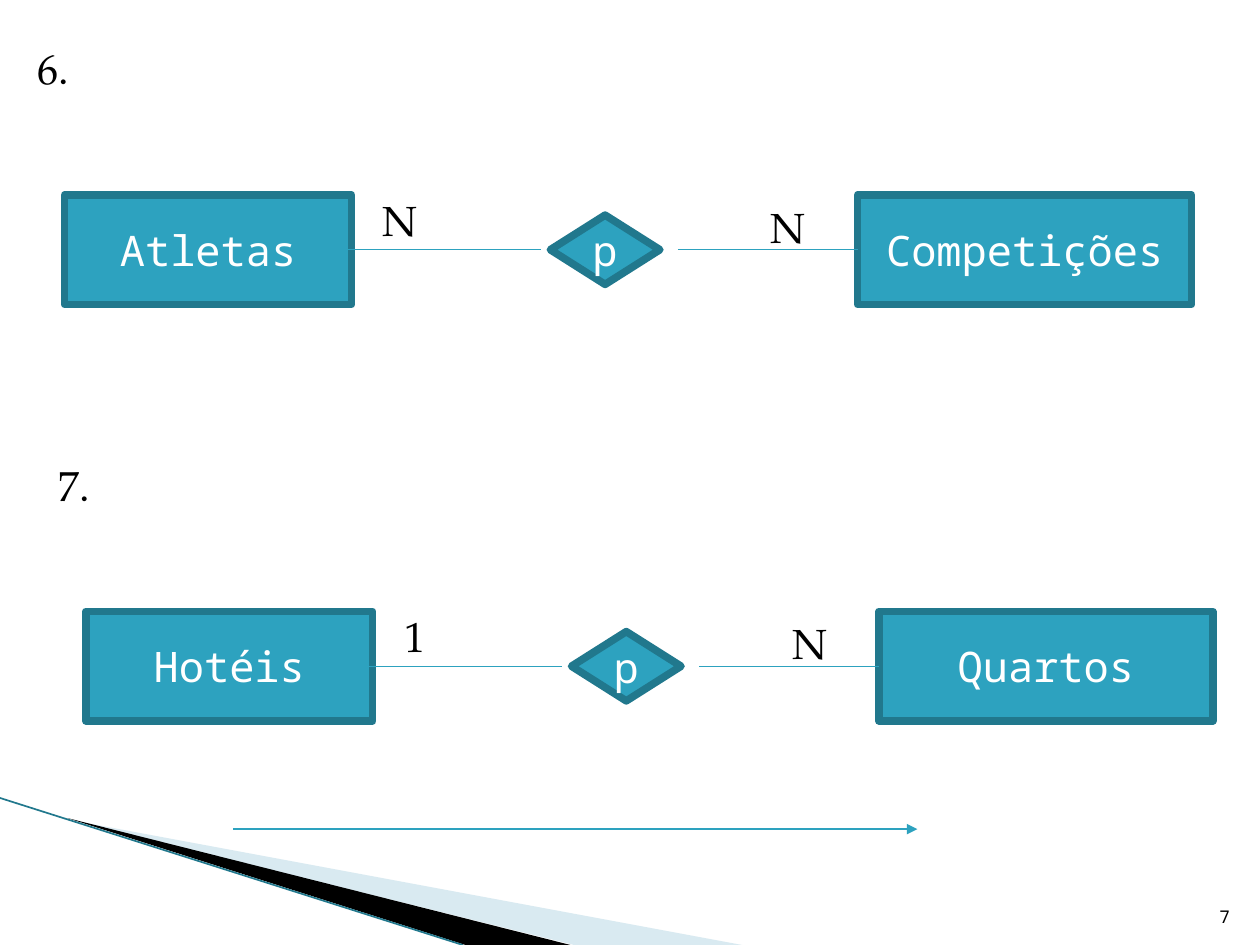
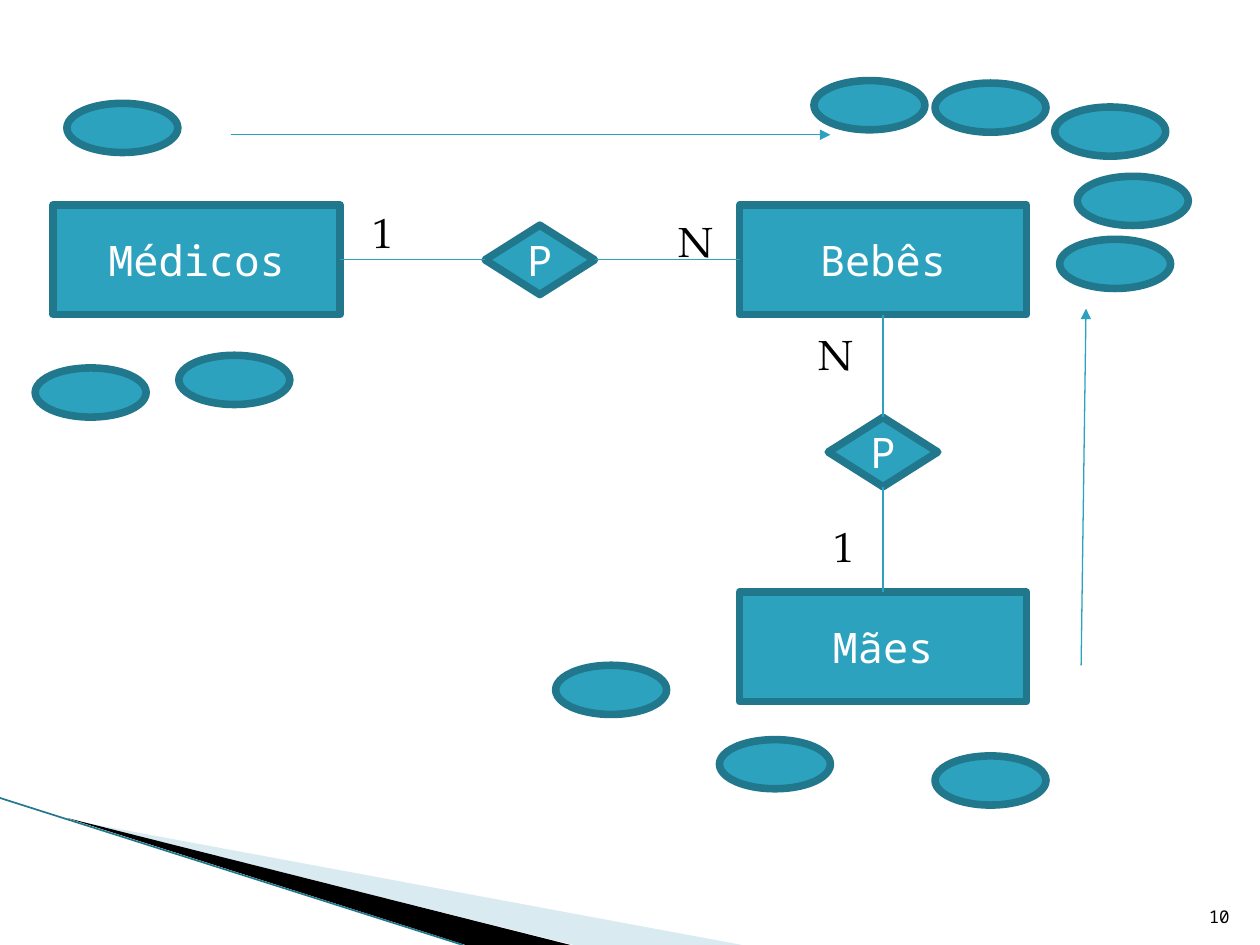
from dataclasses import dataclass
from typing import NamedTuple

from lxml.etree import SubElement
from pptx import Presentation
from pptx.dml.color import RGBColor
from pptx.enum.shapes import MSO_CONNECTOR as Connector, MSO_SHAPE as Preset
from pptx.enum.text import MSO_ANCHOR as Anchor, MSO_AUTO_SIZE as AutoSize, PP_ALIGN as Align
from pptx.oxml.ns import qn
from pptx.shapes.autoshape import Shape
from pptx.shapes.connector import Connector as Line
from pptx.slide import Slide
from pptx.util import Pt


@dataclass(frozen=True)
class Theme:
    """Colours, fonts and sizes of both slides."""
    fill: RGBColor = RGBColor(0x2D, 0xA2, 0xBF)
    edge: RGBColor = RGBColor(0x21, 0x78, 0x8D)
    pale: RGBColor = RGBColor(0xA0, 0xCB, 0xDC)
    black: RGBColor = RGBColor(0, 0, 0)
    white: RGBColor = RGBColor(0xFF, 0xFF, 0xFF)
    mono: str = "Noto Sans Mono"
    serif: str = "TeX Gyre Pagella"
    body: float = 24
    small: float = 10
    border: float = 4.33
    thin: float = 0.75
    band: float = 0.95


class Point(NamedTuple):
    """A place on the slide, in points."""
    x: float
    y: float

    def shifted(self, by: "Point") -> "Point":
        """Return this place moved by an offset."""
        return Point(self.x + by.x, self.y + by.y)


class Size(NamedTuple):
    """Width and height, in points."""
    width: float
    height: float


@dataclass(frozen=True)
class Node:
    """An entity, relationship or attribute, placed by its centre."""
    preset: Preset
    center: Point
    size: Size
    name: str = ""


@dataclass(frozen=True)
class Label:
    """A cardinality or exercise number, placed by its top left corner."""
    text: str
    corner: Point
    size: Size = Size(39.6, 36)
    wrap: bool = True


@dataclass(frozen=True)
class Exercise:
    """A relationship between two entities."""
    number: str
    left: str
    left_count: str
    right: str
    right_count: str
    offset: Point


class Site:
    """Connection sites of rectangles and diamonds."""
    TOP, LEFT, BOTTOM, RIGHT = range(4)


THEME = Theme()
SLIDE = Size(720, 540)
ENTITY = Size(164, 62.6)
WIDE_ENTITY = Size(190.8, 62.6)
RELATION = Size(62.6, 39.6)
ATTRIBUTE = Size(63.4, 28.1)

EXERCISES = [
    Exercise("6.", "Atletas", "N", "Competições", "N", Point(0, 0)),
    Exercise("7.", "Hotéis", "1", "Quartos", "N", Point(12.1, 238)),
]

DOCTOR_ATTRIBUTES = [Point(51.8, 224.3), Point(133.9, 217.1), Point(69.9, 73.1)]
BABY_ATTRIBUTES = [Point(496.8, 60.1), Point(566, 61.5), Point(634.4, 75.2),
                   Point(647.3, 114.8), Point(637.2, 150.8)]
MOTHER_ATTRIBUTES = [Point(349.2, 394.2), Point(442.8, 436.7), Point(566, 446)]


def write(shape: Shape, text: str, font: str, size: float, color: RGBColor, align: Align) -> None:
    """Put one styled run into a shape."""
    paragraph = shape.text_frame.paragraphs[0]
    paragraph.alignment = align
    run = paragraph.add_run()
    run.text = text
    run.font.name = font
    run.font.size = Pt(size)
    run.font.color.rgb = color


def draw_node(slide: Slide, node: Node) -> Shape:
    """Draw a filled, outlined node with its name."""
    (x, y), (width, height) = node.center, node.size
    shape = slide.shapes.add_shape(node.preset, Pt(x - width / 2), Pt(y - height / 2),
                                   Pt(width), Pt(height))
    shape.shadow.inherit = False
    shape.fill.solid()
    shape.fill.fore_color.rgb = THEME.fill
    shape.line.color.rgb = THEME.edge
    shape.line.width = Pt(THEME.border)
    if node.name:
        shape.text_frame.vertical_anchor = Anchor.MIDDLE
        write(shape, node.name, THEME.mono, THEME.body, THEME.white, Align.CENTER)
    return shape


def draw_label(slide: Slide, label: Label) -> None:
    """Draw a serif label."""
    box = slide.shapes.add_textbox(*map(Pt, label.corner + label.size))
    box.text_frame.word_wrap = label.wrap
    box.text_frame.auto_size = AutoSize.SHAPE_TO_FIT_TEXT
    write(box, label.text, THEME.serif, THEME.body, THEME.black, Align.LEFT)


def draw_line(slide: Slide, start: Point, end: Point, color: RGBColor = THEME.fill,
              width: float = THEME.thin, arrow: bool = False) -> Line:
    """Draw a straight line, with an arrowhead at its end if asked."""
    line = slide.shapes.add_connector(Connector.STRAIGHT, *map(Pt, start + end))
    line.line.color.rgb = color
    line.line.width = Pt(width)
    if arrow:
        SubElement(line.line._get_or_add_ln(), qn("a:tailEnd"), type="triangle")
    SubElement(line._element.spPr, qn("a:effectLst"))
    return line


def link(slide: Slide, first: Shape, first_site: int, second: Shape, second_site: int) -> None:
    """Join two nodes with a glued line."""
    line = draw_line(slide, Point(0, 0), Point(0, 0))
    line.begin_connect(first, first_site)
    line.end_connect(second, second_site)


def draw_wedge(slide: Slide, corners: list[Point], color: RGBColor, opacity: int = 100) -> None:
    """Draw a filled wedge of the corner band."""
    start, *others = [(Pt(x), Pt(y)) for x, y in corners]
    builder = slide.shapes.build_freeform(*start)
    builder.add_line_segments(others)
    wedge = builder.convert_to_shape()
    wedge.shadow.inherit = False
    wedge.line.fill.background()
    wedge.fill.solid()
    wedge.fill.fore_color.rgb = color
    if opacity < 100:
        tint = wedge._element.spPr.find(qn("a:solidFill"))[0]
        SubElement(tint, qn("a:alpha"), val=str(opacity * 1000))


def add_base_slide(deck: Presentation, number: int) -> Slide:
    """Add a blank slide with the corner band and the slide number."""
    slide = deck.slides.add_slide(deck.slide_layouts[6])
    draw_wedge(slide, [Point(39.6, 468.5), Point(424, 540), Point(328, 540)], THEME.pale, 40)
    draw_wedge(slide, [Point(38.5, 467.5), Point(326, 540), Point(266, 540)], THEME.black)
    draw_line(slide, Point(0, 456), Point(264.5, 540), THEME.edge, THEME.band)
    box = slide.shapes.add_textbox(Pt(681), Pt(504.7), Pt(28.8), Pt(28.8))
    box.text_frame.word_wrap = True
    box.text_frame.vertical_anchor = Anchor.BOTTOM
    write(box, str(number), THEME.mono, THEME.small, THEME.black, Align.RIGHT)
    return slide


def draw_exercise(slide: Slide, exercise: Exercise) -> None:
    """Draw a numbered exercise with its two entities."""
    def at(x: float, y: float) -> Point:
        return Point(x, y).shifted(exercise.offset)

    axis = 142.7
    draw_label(slide, Label(exercise.number, at(14.2, 20.8), Size(32.4, 36), wrap=False))
    for node in (Node(Preset.RECTANGLE, at(118.9, axis), ENTITY, exercise.left),
                 Node(Preset.DIAMOND, at(345.8, axis), RELATION, "p"),
                 Node(Preset.RECTANGLE, at(585.5, axis), WIDE_ENTITY, exercise.right)):
        draw_node(slide, node)
    for start, end in ((190, 309), (387.4, 490.3)):
        draw_line(slide, at(start, axis), at(end, axis))
    draw_label(slide, Label(exercise.right_count, at(433.4, 111.4)))
    draw_label(slide, Label(exercise.left_count, at(211.7, 107.5)))


def build_exercises(deck: Presentation) -> None:
    """Build the slide of exercises 6 and 7."""
    slide = add_base_slide(deck, 7)
    for exercise in EXERCISES:
        draw_exercise(slide, exercise)
    draw_line(slide, Point(133.2, 473.8), Point(524.2, 473.8), arrow=True)


def build_maternity(deck: Presentation) -> None:
    """Build the slide relating doctors, babies and mothers."""
    slide = add_base_slide(deck, 10)
    row, column = 148.5, 504.6
    doctors = draw_node(slide, Node(Preset.RECTANGLE, Point(112.3, row), ENTITY, "Médicos"))
    babies = draw_node(slide, Node(Preset.RECTANGLE, Point(column, row), ENTITY, "Bebês"))
    mothers = draw_node(slide, Node(Preset.RECTANGLE, Point(column, 369.7), ENTITY, "Mães"))
    delivery = draw_node(slide, Node(Preset.DIAMOND, Point(308.5, row), RELATION, "P"))
    birth = draw_node(slide, Node(Preset.DIAMOND, Point(column, 258.3), RELATION, "P"))

    link(slide, doctors, Site.RIGHT, delivery, Site.LEFT)
    link(slide, delivery, Site.RIGHT, babies, Site.LEFT)
    link(slide, babies, Site.BOTTOM, birth, Site.TOP)
    link(slide, birth, Site.BOTTOM, mothers, Site.TOP)

    for label in (Label("1", Point(205.9, 114.5)), Label("N", Point(380.9, 119.5)),
                  Label("N", Point(460.8, 184.3)), Label("1", Point(469, 293.8))):
        draw_label(slide, label)
    for center in DOCTOR_ATTRIBUTES + BABY_ATTRIBUTES + MOTHER_ATTRIBUTES:
        draw_node(slide, Node(Preset.OVAL, center, ATTRIBUTE))
    draw_line(slide, Point(131.8, 77), Point(474.5, 77), arrow=True)
    draw_line(slide, Point(617.8, 380.2), Point(620.6, 176.4), arrow=True)


def main() -> None:
    """Build and save the deck."""
    deck = Presentation()
    deck.slide_width, deck.slide_height = map(Pt, SLIDE)
    build_exercises(deck)
    build_maternity(deck)
    deck.save("out.pptx")


if __name__ == "__main__":
    main()
